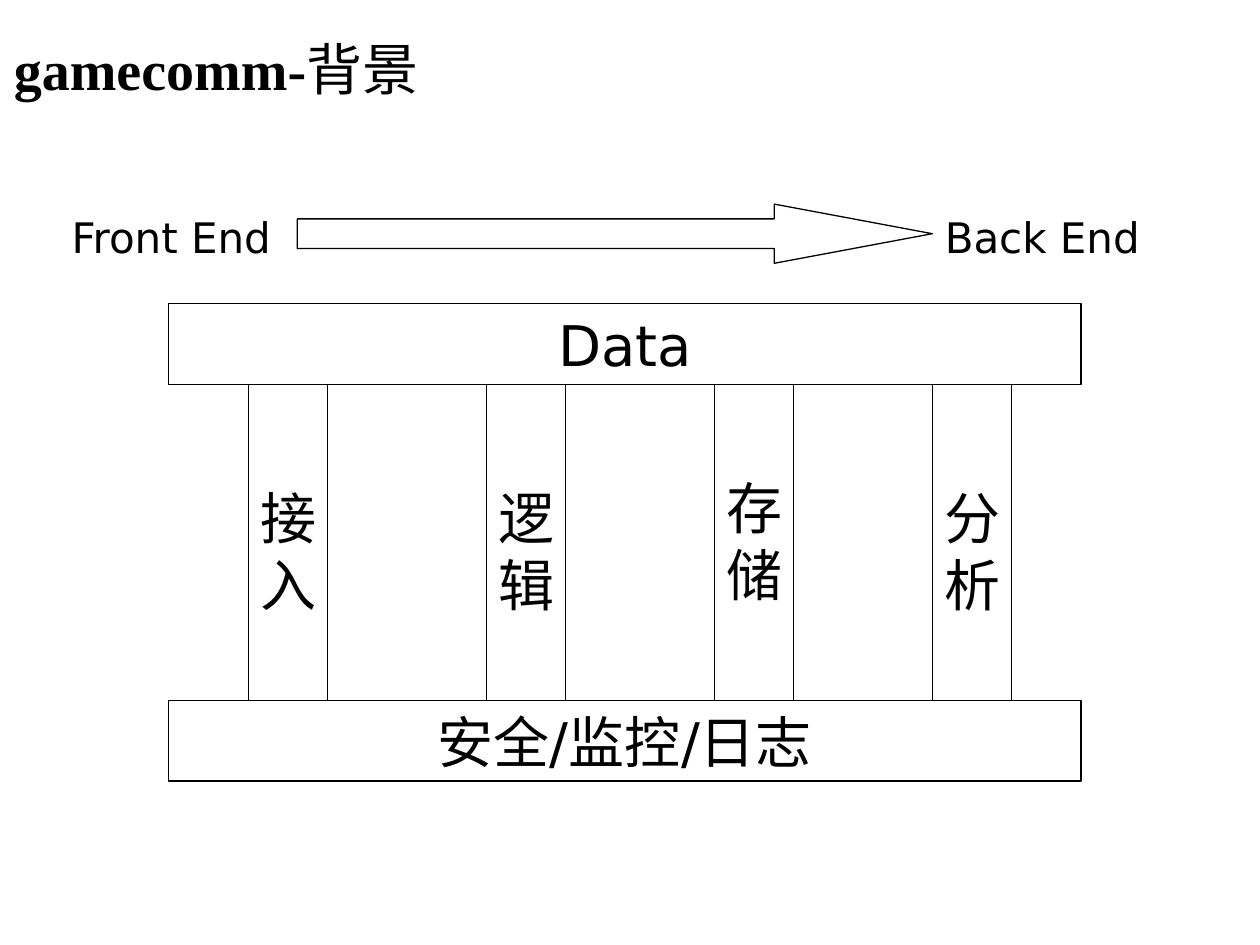
from dataclasses import dataclass

from pptx import Presentation
from pptx.dml.color import RGBColor
from pptx.enum.shapes import MSO_SHAPE as Shape
from pptx.enum.text import MSO_ANCHOR as Anchor, PP_ALIGN as Align
from pptx.util import Inches, Pt


@dataclass(frozen=True)
class Theme:
    ink: RGBColor = RGBColor(0, 0, 0)
    paper: RGBColor = RGBColor(255, 255, 255)
    title_font: str = "Times New Roman"
    body_font: str = "DejaVu Sans"
    large: int = 32
    small: int = 24
    line: float = 0.75


@dataclass(frozen=True)
class Block:
    text: str
    left: float
    top: float
    width: float
    height: float
    align: Align = Align.CENTER

    @property
    def box(self) -> tuple:
        return tuple(map(Inches, (self.left, self.top, self.width, self.height)))


THEME = Theme()

PILLAR_WIDTH, PILLAR_HEIGHT = 0.63, 2.66
PILLARS = [
    Block(text, left, top, PILLAR_WIDTH, PILLAR_HEIGHT, Align.LEFT)
    for text, left, top in (
        ("接入", 1.97, 3.04),
        ("逻辑", 3.86, 3.04),
        ("存储", 5.67, 2.96),
        ("分析", 7.4, 3.04),
    )
]
BARS = [
    Block(text, 1.34, top, 7.24, 0.64)
    for text, top in (("安全/监控/日志", 5.56), ("Data", 2.41))
]
ARROW = Block("", 2.36, 1.62, 5.04, 0.47)
LABELS = [
    Block(text, left, 1.63, 2.36, 0.5, Align.LEFT)
    for text, left in (("Front End", 0.47), ("Back End", 7.4))
]


def add_text(p, text: str, *, size: int = THEME.large,
             font: str = THEME.body_font, bold: bool = False,
             align: Align = Align.LEFT) -> None:
    p.alignment = align
    r = p.add_run()
    r.text = text
    r.font.name = font
    r.font.size = Pt(size)
    r.font.bold = bold
    r.font.color.rgb = THEME.ink


def draw_shape(s, block: Block, kind: Shape = Shape.RECTANGLE):
    sp = s.shapes.add_shape(kind, *block.box)
    sp.shadow.inherit = False
    sp.fill.solid()
    sp.fill.fore_color.rgb = THEME.paper
    sp.line.color.rgb = THEME.ink
    sp.line.width = Pt(THEME.line)
    if block.text:
        tf = sp.text_frame
        tf.word_wrap = True
        tf.vertical_anchor = Anchor.MIDDLE
        add_text(tf.paragraphs[0], block.text, align=block.align)
    return sp


def draw_label(s, block: Block) -> None:
    tf = s.shapes.add_textbox(*block.box).text_frame
    tf.word_wrap = True
    add_text(tf.paragraphs[0], block.text, size=THEME.small, align=block.align)


def draw_title(s) -> None:
    sp = s.shapes.title
    sp.left, sp.top, sp.width, sp.height = map(Inches, (0.01, 0.08, 6.57, 0.92))
    tf = sp.text_frame
    tf.vertical_anchor = Anchor.MIDDLE
    p = tf.paragraphs[0]
    add_text(p, "gamecomm-", font=THEME.title_font, bold=True)
    add_text(p, "背景", font=THEME.title_font)


def main() -> None:
    prs = Presentation()
    prs.slide_width, prs.slide_height = Inches(10), Inches(7.5)
    s = prs.slides.add_slide(prs.slide_layouts[5])
    draw_title(s)

    # Pillars first, so that the bars cover their ends
    for block in PILLARS + BARS:
        draw_shape(s, block)

    # Direction from front end to back end
    arrow = draw_shape(s, ARROW, Shape.RIGHT_ARROW)
    arrow.adjustments[0] = 0.5
    arrow.adjustments[1] = 2.67
    for block in LABELS:
        draw_label(s, block)

    prs.save("out.pptx")


if __name__ == "__main__":
    main()
